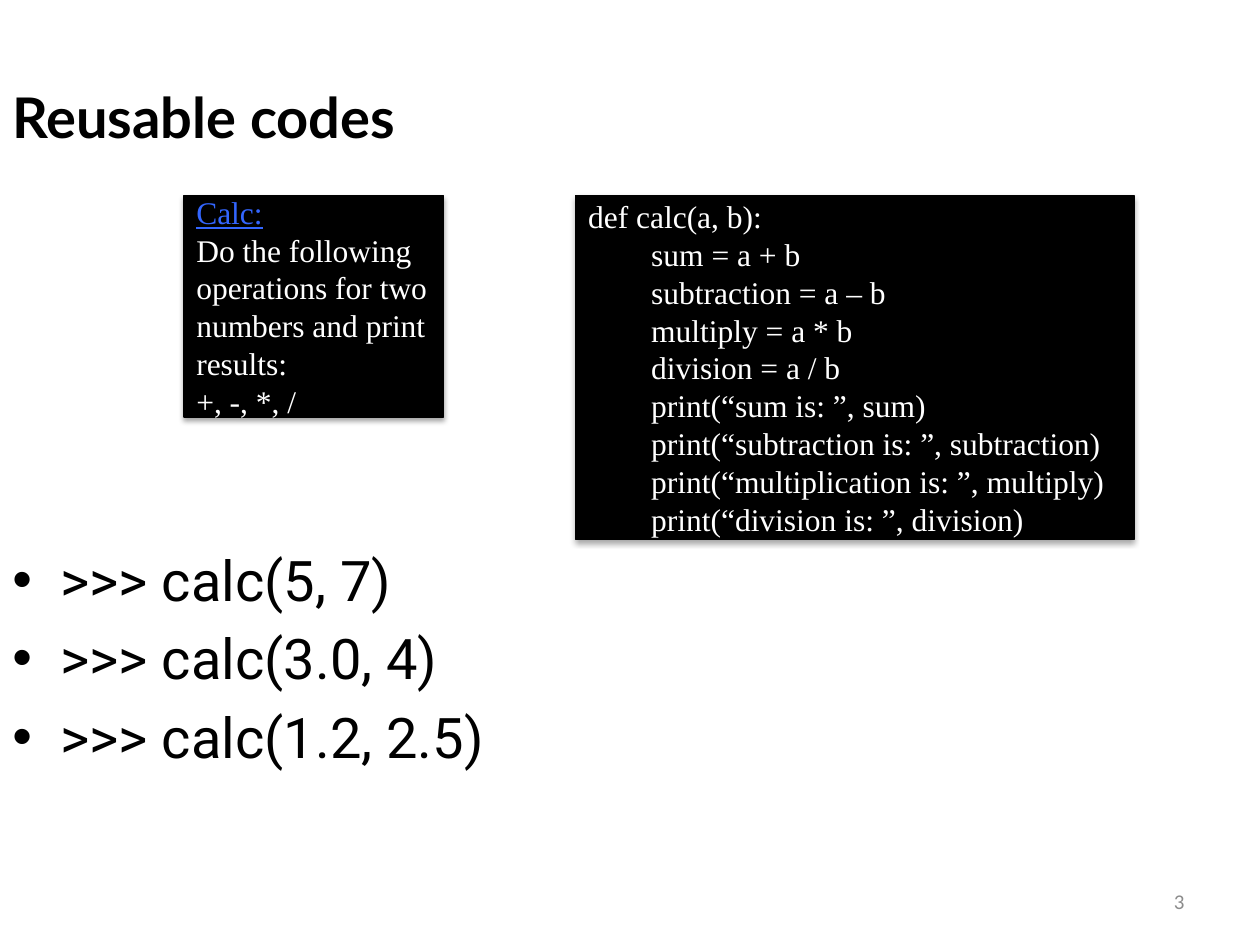
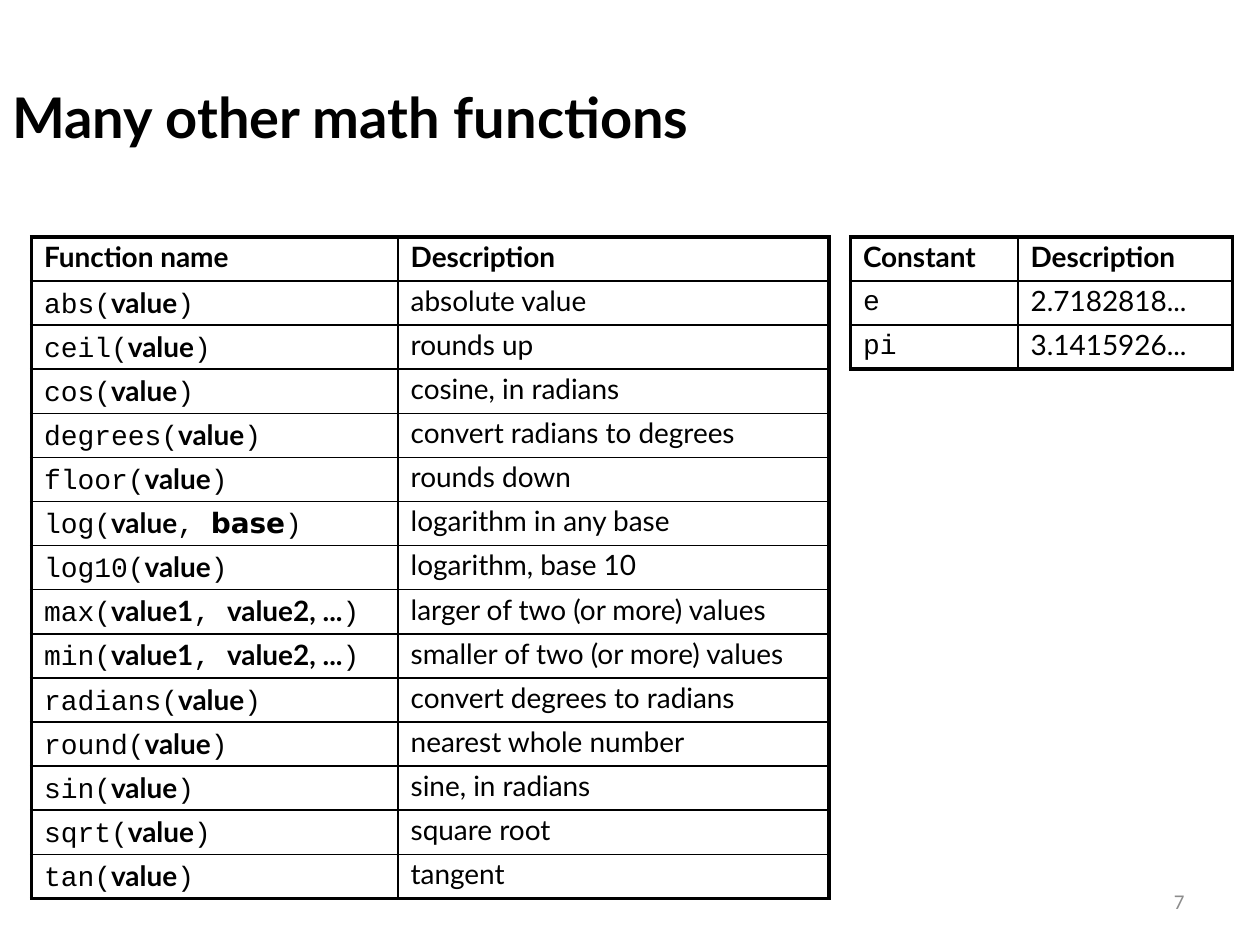
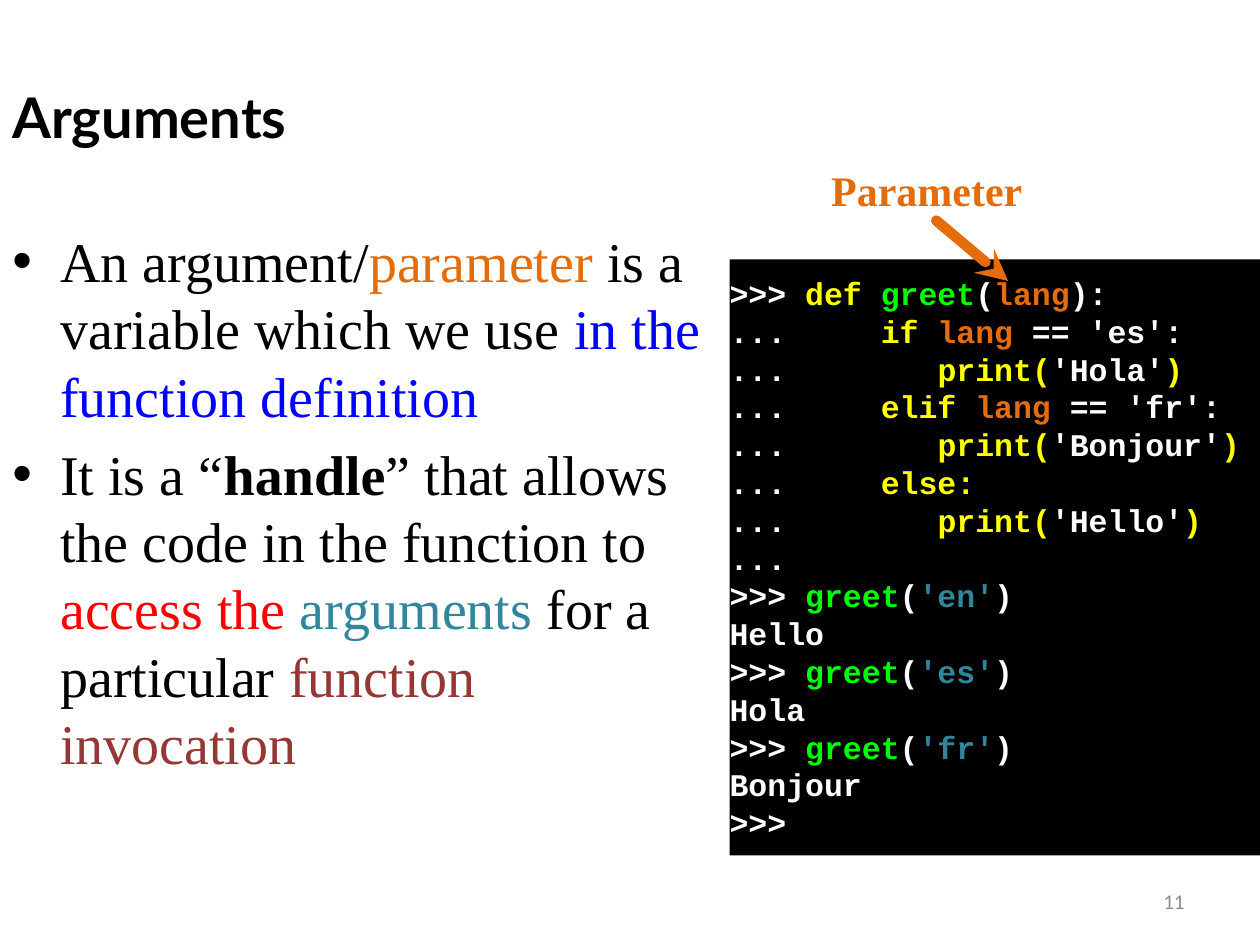
from lxml import etree
from pptx import Presentation
from pptx import util as u
from pptx.dml.color import RGBColor
from pptx.enum import shapes, text
from pptx.oxml import ns

BLACK, WHITE, GREY = "000000", "FFFFFF", "8C8C8C"
ORANGE, YELLOW, GREEN, TEAL = "E46C0A", "FFFF00", "00FF00", "31859C"
BLUE, LINK, RED, MAROON = "0000FF", "3366FF", "FF0000", "953735"

SANS, SERIF, MONO = "Lato", "Times New Roman", "Courier New"
TITLE = dict(name=SANS, size=32, color=BLACK, bold=True)
NUMBER = dict(name="Calibri", size=12, color=GREY)
BODY = dict(name=SERIF, size=32, color=BLACK)
CODE = dict(name=SERIF, size=18, color=WHITE)
CONSOLE = dict(name=MONO, size=18, color=WHITE, bold=True)
CELL = dict(name=SANS, size=16, color=BLACK)
LABEL = dict(name=SERIF, size=24, color=ORANGE, bold=True)

TITLE_BOX = (0, 0.3, 9, 1.25)
NUMBER_BOX = (7.17, 6.95, 2.33, 0.4)


def rgb(value):
    return RGBColor.from_string(value)


def inches(values):
    return [u.Inches(value) for value in values]


def add_element(parent, tag, **attributes):
    element = etree.SubElement(parent, ns.qn(tag))
    for name, value in attributes.items():
        element.set(name, str(value))
    return element


def set_format(font, style):
    for name, value in style.items():
        if name == "color":
            font.color.rgb = rgb(value)
        else:
            setattr(font, name, u.Pt(value) if name == "size" else value)


def write(paragraph, runs, style):
    """Add runs: a plain string takes the style, a pair adds its own format to it."""
    for item in [runs] if isinstance(runs, str) else runs:
        words, extra = (item, {}) if isinstance(item, str) else item
        run = paragraph.add_run()
        run.text = words
        set_format(run.font, {**style, **extra})


def write_all(frame, lines, style):
    """Write one paragraph for each line and return the paragraphs."""
    for index, line in enumerate(lines):
        write(frame.add_paragraph() if index else frame.paragraphs[0], line, style)
    return frame.paragraphs


def space_before(paragraph, percent=20):
    spacing = add_element(paragraph._p.get_or_add_pPr(), "a:spcBef")
    add_element(spacing, "a:spcPct", val=percent * 1000)


def add_text(slide, box, lines, style, anchor=text.MSO_ANCHOR.TOP, align=None):
    frame = slide.shapes.add_textbox(*inches(box)).text_frame
    frame.word_wrap = True
    frame.vertical_anchor = anchor
    paragraphs = write_all(frame, lines, style)
    for paragraph in paragraphs:
        paragraph.alignment = align
    return paragraphs


def add_bullets(slide, box, lines, style):
    for paragraph in add_text(slide, box, lines, style):
        space_before(paragraph)
        properties = paragraph._p.get_or_add_pPr()
        indent = u.Inches(0.38)
        properties.set("marL", str(indent))
        properties.set("indent", str(-indent))
        add_element(properties, "a:buFont", typeface="Arial")
        add_element(properties, "a:buChar", char="•")


def add_panel(slide, box, lines, style):
    """Add a black box of left-aligned code."""
    panel = slide.shapes.add_shape(shapes.MSO_SHAPE.RECTANGLE, *inches(box))
    panel.shadow.inherit = False
    panel.fill.solid()
    panel.fill.fore_color.rgb = rgb(BLACK)
    panel.line.fill.background()
    panel.text_frame.word_wrap = True
    panel.text_frame.vertical_anchor = text.MSO_ANCHOR.MIDDLE
    for paragraph in write_all(panel.text_frame, lines, style):
        paragraph.alignment = text.PP_ALIGN.LEFT
    return panel


def add_raised_panel(slide, box, lines):
    panel = add_panel(slide, box, lines, CODE)
    panel.line.color.rgb = rgb(BLACK)
    panel.line.width = u.Pt(0.75)
    effects = panel._element.spPr.find(ns.qn("a:effectLst"))
    shadow = add_element(effects, "a:outerShdw", blurRad=u.Pt(3.1), dist=u.Pt(1.8),
                         dir=90 * 60000, rotWithShape=0)
    add_element(add_element(shadow, "a:srgbClr", val=BLACK), "a:alpha", val=35000)
    return panel


def set_borders(cell, at_edge):
    """Draw heavy lines on the sides at the table's edge and thin ones elsewhere."""
    properties = cell._tc.get_or_add_tcPr()
    for index, (side, heavy) in enumerate(zip("LRTB", at_edge)):
        line = etree.Element(ns.qn(f"a:ln{side}"), w=str(u.Pt(2.25 if heavy else 1)))
        add_element(add_element(line, "a:solidFill"), "a:srgbClr", val=BLACK)
        properties.insert(index, line)


def add_grid(slide, left, top, widths, row_height, rows):
    box = (left, top, sum(widths), row_height * len(rows))
    table = slide.shapes.add_table(len(rows), len(widths), *inches(box)).table
    for column, width in zip(table.columns, widths):
        column.width = u.Inches(width)
    for y, row in enumerate(rows):
        for x, runs in enumerate(row):
            cell = table.cell(y, x)
            cell.fill.solid()
            cell.fill.fore_color.rgb = rgb(WHITE)
            set_borders(cell, (x == 0, x == len(widths) - 1, y == 0, y == len(rows) - 1))
            paragraph = cell.text_frame.paragraphs[0]
            paragraph.line_spacing = 0.9
            space_before(paragraph)
            write(paragraph, runs, {**CELL, "bold": y == 0})


def signature(call):
    """Split a call at its bars into code and, in turn, bold argument names."""
    fonts = {"base": "DejaVu Sans"}
    return [(part, dict(name=fonts.get(part, SANS), bold=True) if index % 2
             else dict(name=MONO)) for index, part in enumerate(call.split("|"))]


def add_arrow(slide, tip, tail):
    arrow = slide.shapes.add_connector(shapes.MSO_CONNECTOR.STRAIGHT, *inches(tip + tail))
    arrow.line.color.rgb = rgb(ORANGE)
    arrow.line.width = u.Pt(6)
    line = arrow.line._get_or_add_ln()
    line.set("cap", "rnd")
    add_element(line, "a:round")
    add_element(line, "a:headEnd", type="stealth")
    add_element(arrow._element.spPr, "a:effectLst")


def add_slide(presentation, title, number):
    slide = presentation.slides.add_slide(presentation.slide_layouts[6])
    middle = text.MSO_ANCHOR.MIDDLE
    add_text(slide, NUMBER_BOX, [str(number)], NUMBER, middle, text.PP_ALIGN.RIGHT)
    add_text(slide, TITLE_BOX, [title], TITLE, middle)
    return slide


def reusable_codes(presentation):
    slide = add_slide(presentation, "Reusable codes", 3)
    calls = [f">>> calc({values})" for values in ("5, 7", "3.0, 4", "1.2, 2.5")]
    add_bullets(slide, (0, 4.28, 9, 2.42), calls, {**BODY, "name": "Roboto"})
    add_raised_panel(slide, (1.46, 1.55, 2.06, 1.76), [
        [("Calc:", dict(color=LINK, underline=True))],
        "Do the following operations for two numbers and print results:",
        "+, -, *, /"])
    results = {"sum": "sum", "subtraction": "subtraction",
               "multiplication": "multiply", "division": "division"}
    sums = [f"{name} = a {sign} b" for name, sign in zip(results.values(), "+–*/")]
    prints = [f"print(“{label} is: ”, {name})" for label, name in results.items()]
    panel = add_raised_panel(slide, (4.57, 1.55, 4.43, 2.73),
                             ["def calc(a, b):"] + sums + prints)
    for paragraph in panel.text_frame.paragraphs[1:]:
        paragraph._p.get_or_add_pPr().set("marL", str(u.Inches(0.5)))


def math_functions(presentation):
    slide = add_slide(presentation, "Many other math functions", 7)
    functions = [
        ("abs(|value|)", "absolute value"),
        ("ceil(|value|)", "rounds up"),
        ("cos(|value|)", "cosine, in radians"),
        ("degrees(|value|)", "convert radians to degrees"),
        ("floor(|value|)", "rounds down"),
        ("log(|value|, |base|)", "logarithm in any base"),
        ("log10(|value|)", "logarithm, base 10"),
        ("max(|value1|, |value2, ...|)", "larger of two (or more) values"),
        ("min(|value1|, |value2, ...|)", "smaller of two (or more) values"),
        ("radians(|value|)", "convert degrees to radians"),
        ("round(|value|)", "nearest whole number"),
        ("sin(|value|)", "sine, in radians"),
        ("sqrt(|value|)", "square root"),
        ("tan(|value|)", "tangent")]
    constants = [("e", "2.7182818..."), ("pi", "3.1415926...")]
    for left, widths, heading, entries in (
            (0.25, (2.91, 3.42), "Function name", functions),
            (6.75, (1.33, 1.7), "Constant", constants)):
        rows = [(signature(name), meaning) for name, meaning in entries]
        add_grid(slide, left, 1.88, widths, 0.35, [(heading, "Description")] + rows)


def arguments(presentation):
    slide = add_slide(presentation, "Arguments", 11)

    def colored(words, value):
        return words, dict(color=value)

    def condition(keyword, language):
        return ["...     ", colored(f"{keyword} ", YELLOW), colored("lang ", ORANGE),
                f"== '{language}':"]

    def output(word):
        return ["...        ", colored("print(", YELLOW), f"'{word}'", colored(")", YELLOW)]

    def call(language):
        return [">>> ", colored("greet", GREEN), "(", colored(f"'{language}'", TEAL), ")"]

    add_bullets(slide, (0, 1.75, 5.68, 5.2), [
        ["An argument/", colored("parameter ", ORANGE), "is a variable which we use ",
         colored("in the function definition", BLUE)],
        ["It is a “", ("handle", dict(bold=True)),
         "” that allows the code in the function to ", colored("access the ", RED),
         colored("arguments ", TEAL), "for a particular ",
         colored("function invocation", MAROON)]], BODY)
    console = add_panel(slide, (5.79, 2.06, 4.21, 4.73), [
        [">>> ", colored("def ", YELLOW), colored("greet", GREEN), "(",
         colored("lang", ORANGE), "):"],
        condition("if", "es"), output("Hola"),
        condition("elif", "fr"), output("Bonjour"),
        ["...     ", colored("else:", YELLOW)], output("Hello"),
        "...",
        call("en"), "Hello", call("es"), "Hola", call("fr"), "Bonjour",
        ">>>"], CONSOLE)
    for side in ("left", "top", "right", "bottom"):
        setattr(console.text_frame, f"margin_{side}", 0)
    add_arrow(slide, (8, 2.23), (7.43, 1.75))
    add_text(slide, (6.36, 1.26, 1.99, 0.5), ["Parameter"], LABEL,
             align=text.PP_ALIGN.CENTER)


def main():
    presentation = Presentation()
    presentation.slide_width, presentation.slide_height = inches((10, 7.5))
    for build in (reusable_codes, math_functions, arguments):
        build(presentation)
    presentation.save("out.pptx")


if __name__ == "__main__":
    main()
